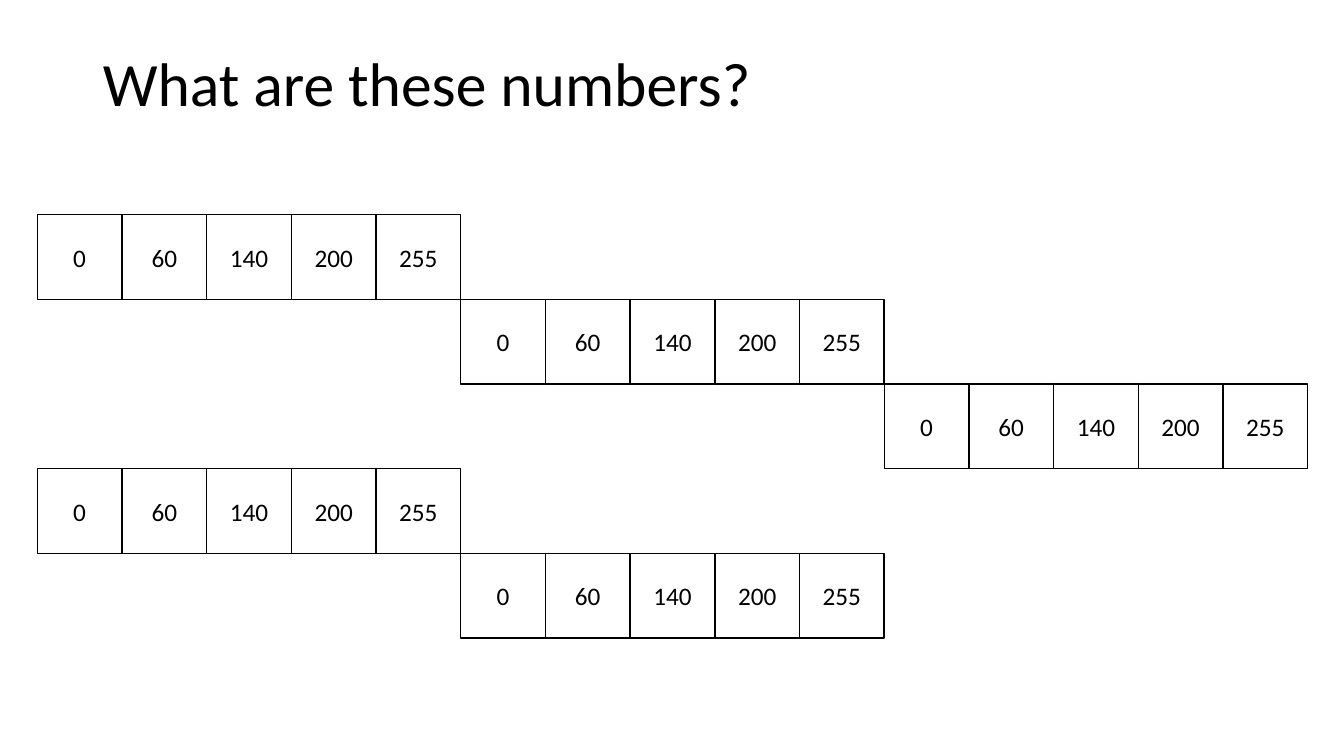
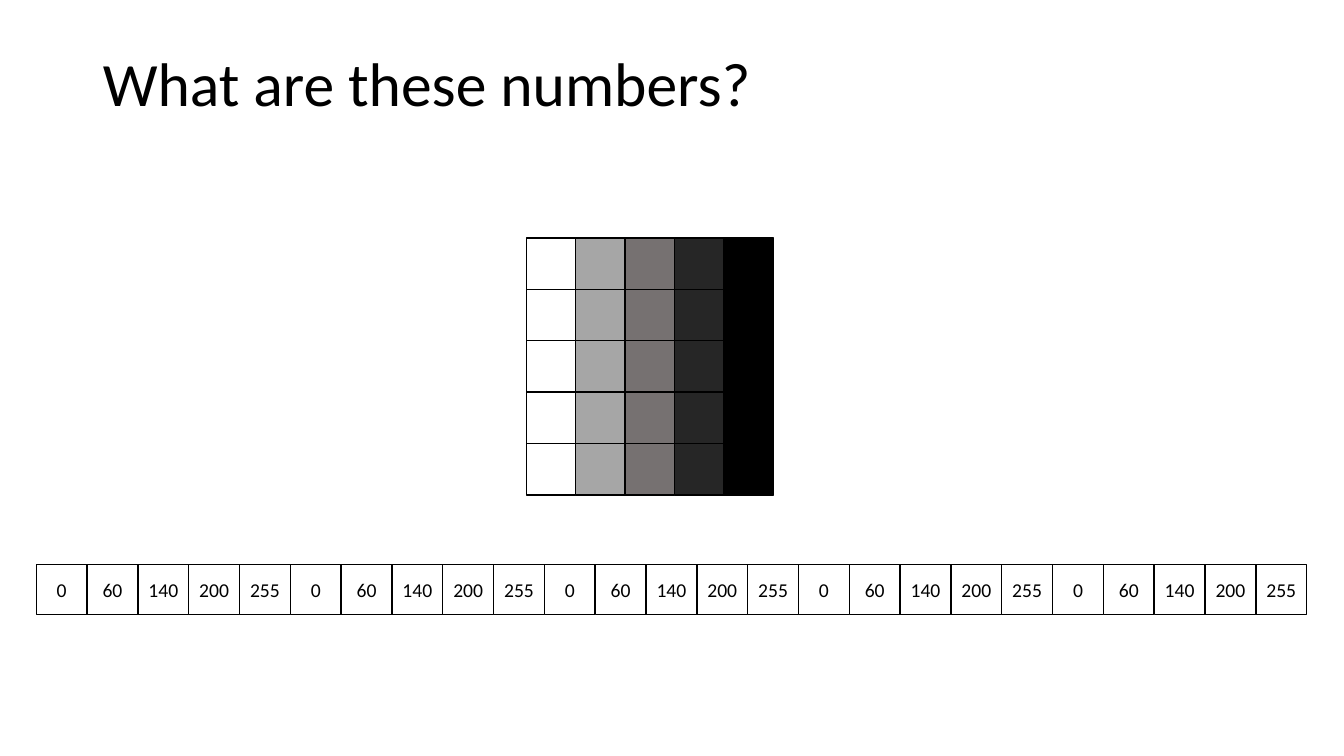
from dataclasses import dataclass

from pptx import Presentation
from pptx.dml.color import RGBColor
from pptx.enum.shapes import MSO_SHAPE
from pptx.enum.text import MSO_ANCHOR, MSO_AUTO_SIZE, PP_ALIGN
from pptx.presentation import Presentation as Deck
from pptx.shapes.shapetree import GroupShapes, SlideShapes
from pptx.slide import Slide
from pptx.util import Inches, Pt

RECT = MSO_SHAPE.RECTANGLE
MIDDLE = MSO_ANCHOR.MIDDLE
LEFT, CENTER = PP_ALIGN.LEFT, PP_ALIGN.CENTER
NO_AUTOFIT = MSO_AUTO_SIZE.NONE
TITLE_ONLY = 5


@dataclass(frozen=True)
class Theme:
    font: str = "Calibri"
    ink: RGBColor = RGBColor(0x00, 0x00, 0x00)
    paper: RGBColor = RGBColor(0xFF, 0xFF, 0xFF)
    light_gray: RGBColor = RGBColor(0xA6, 0xA6, 0xA6)
    mid_gray: RGBColor = RGBColor(0x76, 0x71, 0x71)
    dark_gray: RGBColor = RGBColor(0x26, 0x26, 0x26)
    title_size: Pt = Pt(44)
    number_size: Pt = Pt(18)
    strip_size: Pt = Pt(14)
    outline: Pt = Pt(1)


THEME = Theme()
TITLE = "What are these numbers?"
LEVELS = ("0", "60", "140", "200", "255")
SHADES = (THEME.paper, THEME.light_gray, THEME.mid_gray, THEME.dark_gray, THEME.ink)
ROWS = 5


@dataclass(frozen=True)
class Cell:
    fill: RGBColor = THEME.paper
    text: str = ""
    size: Pt = THEME.number_size


@dataclass(frozen=True)
class Grid:
    """Adjoining cells of one size, measured in inches."""
    left: float
    top: float
    width: float
    height: float


def add_cell(shapes: SlideShapes | GroupShapes, grid: Grid, col: int, row: int, cell: Cell) -> None:
    sp = shapes.add_shape(
        RECT,
        Inches(grid.left + col * grid.width),
        Inches(grid.top + row * grid.height),
        Inches(grid.width),
        Inches(grid.height),
    )
    sp.shadow.inherit = False
    sp.fill.solid()
    sp.fill.fore_color.rgb = cell.fill
    sp.line.color.rgb = THEME.ink
    sp.line.width = THEME.outline
    if cell.text:
        tf = sp.text_frame
        tf.margin_left = tf.margin_right = 0
        tf.vertical_anchor = MIDDLE
        p = tf.paragraphs[0]
        p.text = cell.text
        p.alignment = CENTER
        p.font.name = THEME.font
        p.font.size = cell.size
        p.font.color.rgb = THEME.ink


def add_titled_slide(prs: Deck) -> Slide:
    s = prs.slides.add_slide(prs.slide_layouts[TITLE_ONLY])
    title = s.shapes.title
    title.left, title.top = Inches(0.92), Inches(0.13)
    title.width, title.height = Inches(11.5), Inches(1.45)
    tf = title.text_frame
    tf.auto_size = NO_AUTOFIT
    tf.word_wrap = True
    tf.vertical_anchor = MIDDLE
    p = tf.paragraphs[0]
    p.text = TITLE
    p.alignment = LEFT
    p.line_spacing = 0.9
    p.font.name = THEME.font
    p.font.size = THEME.title_size
    p.font.color.rgb = THEME.ink
    return s


def build_staircase_slide(prs: Deck) -> None:
    """Each row of numbers starts where the last ended, wrapping after three."""
    s = add_titled_slide(prs)
    grid = Grid(0.37, 2.13, 0.84, 0.84)
    for row in range(ROWS):
        first_col = row % 3 * len(LEVELS)
        for col, level in enumerate(LEVELS, first_col):
            add_cell(s.shapes, grid, col, row, Cell(text=level))


def build_pixels_slide(prs: Deck) -> None:
    """A grayscale square above its pixel values in a single strip."""
    s = add_titled_slide(prs)
    pixels = Grid(5.22, 2.36, 0.49, 0.51)
    for row in range(ROWS):
        for col, shade in enumerate(SHADES):
            add_cell(s.shapes, pixels, col, row, Cell(fill=shade))

    values = LEVELS * ROWS
    strip = Grid(0.36, 5.6, 12.6 / len(values), 0.5)
    group = s.shapes.add_group_shape()
    for col, level in enumerate(values):
        add_cell(group.shapes, strip, col, 0, Cell(text=level, size=THEME.strip_size))


def main() -> None:
    prs = Presentation()
    prs.slide_width, prs.slide_height = Inches(13.33), Inches(7.5)
    build_staircase_slide(prs)
    build_pixels_slide(prs)
    prs.save("out.pptx")


if __name__ == "__main__":
    main()
